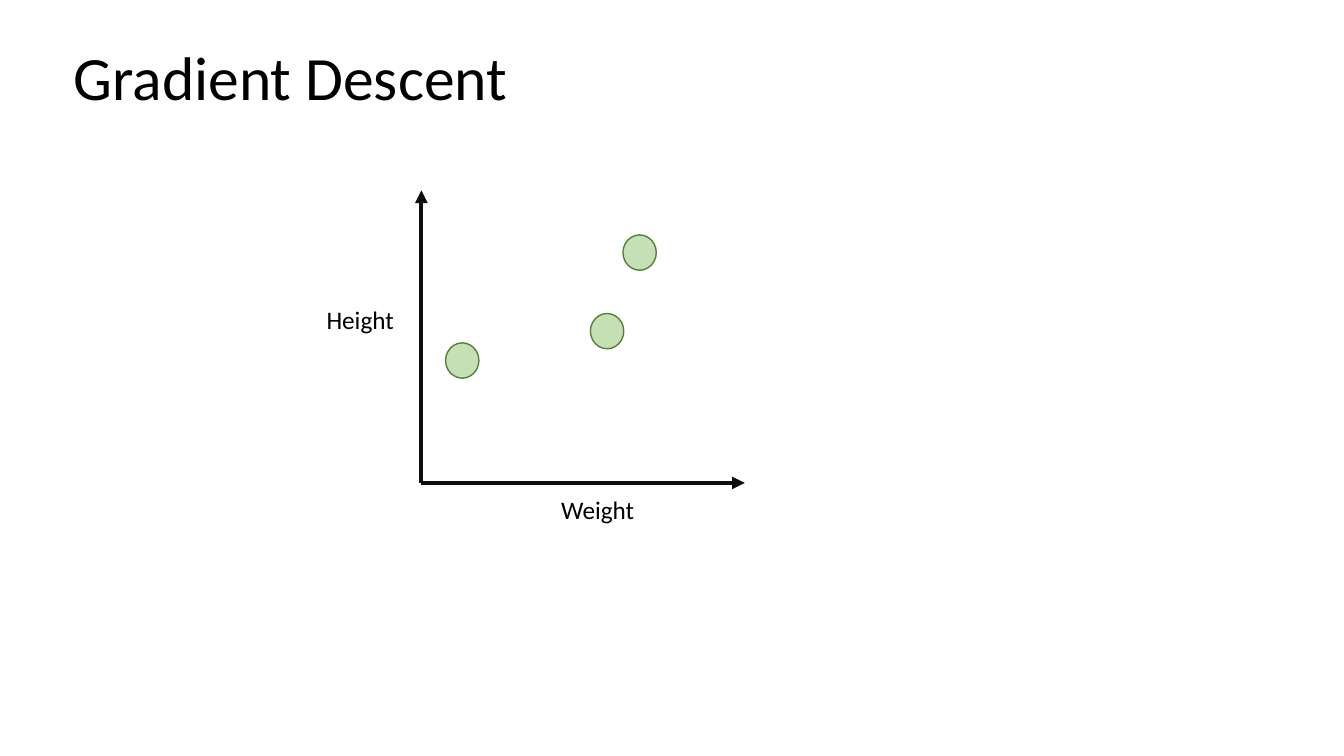
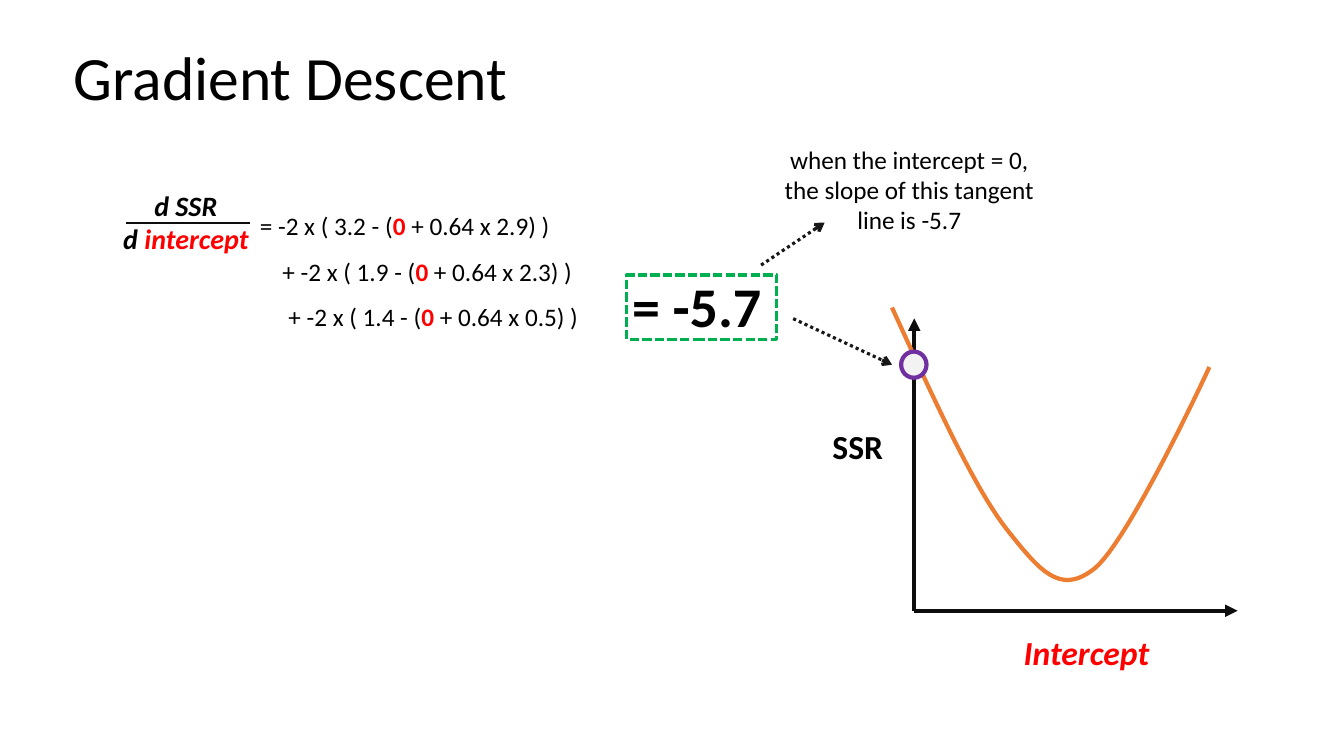
from dataclasses import dataclass

from lxml.etree import SubElement
from pptx import Presentation
from pptx.dml.color import RGBColor
from pptx.enum.dml import MSO_LINE
from pptx.enum.shapes import MSO_CONNECTOR, MSO_SHAPE
from pptx.enum.text import MSO_ANCHOR, MSO_AUTO_SIZE, PP_ALIGN
from pptx.oxml.ns import qn
from pptx.util import Cm, Pt


@dataclass(frozen=True)
class Theme:
    font: str = "Calibri"
    text: str = "000000"
    accent: str = "FF0000"
    axis: str = "0D0D0D"
    pointer: str = "181717"
    dot_fill: str = "C5E0B4"
    dot_line: str = "548235"
    frame: str = "00B050"
    curve: str = "ED7D31"
    marker_fill: str = "F2F2F2"
    marker_line: str = "7030A0"
    title_size: int = 44
    result_size: int = 40
    axis_size: int = 24
    fraction_size: int = 20
    body_size: int = 18
    thin: float = 1
    rule: float = 1.5
    dashed: float = 2.25
    thick: float = 3


THEME = Theme()

# All lengths are in centimetres; boxes are left, top, width, height.
SLIDE_SIZE = (33.87, 19.05)
TITLE = "Gradient Descent"
TITLE_BOX = (1.6, 0.2, 17.32, 3.68)
AXIS_HEIGHT, AXIS_WIDTH = 7.37, 8.15

SCATTER_ORIGIN = (10.62, 12.17)
DOT_SIZE = (0.84, 0.89)
DOTS = [(11.23, 8.64), (14.88, 7.9), (15.7, 5.92)]
SCATTER_LABELS = [
    ("Height", (7.98, 7.54, 2.64, 1.02)),
    ("Weight", (13.89, 12.34, 2.64, 1.02)),
]

COST_ORIGIN = (23.04, 15.39)
COST_LABELS = [
    ("SSR", (20.73, 10.62, 2.64, 1.27), {}),
    ("Intercept", (25.55, 15.8, 3.81, 1.27), {"color": THEME.accent, "italic": True}),
]
CURVE_START = (22.48, 7.75)
CURVE_PIECES = [  # two control points and an end point each
    ((23.5, 9.98), (24.51, 12.22), (25.35, 13.31)),
    ((26.21, 14.4), (26.72, 15.01), (27.58, 14.33)),
    ((28.45, 13.64), (30.48, 9.25), (30.48, 9.25)),
]
CURVE_STEPS = 24
MARKER_BOX = (22.71, 8.86, 0.64, 0.66)

DERIVATIVE = [
    [("d SSR", {})],
    [("d ", {}), ("intercept", {"color": THEME.accent})],
]
DERIVATIVE_BOX = (2.74, 4.62, 3.89, 1.96)
FRACTION_BAR = ((3.18, 5.61), (6.3, 5.61))
TERMS = [  # sign, height, weight, indent
    ("=", "3.2", "2.9", 0),
    ("+", "1.9", "2.3", 0.57),
    ("+", "1.4", "0.5", 0.72),
]
TERMS_BOX = (6.3, 4.8, 16.94, 3.61)
RESULT = "= -5.7"
RESULT_BOX = (15.54, 6.71, 4.04, 1.96)
RESULT_FRAME = (15.8, 6.93, 3.78, 1.63)
NOTE = "when the intercept = 0, the slope of this tangent line is -5.7"
NOTE_BOX = (19.51, 3.51, 6.81, 2.57)
POINTERS = [((19.18, 6.68), (20.78, 5.61)), ((19.99, 8.03), (22.48, 9.19))]


def lengths(values):
    return [Cm(value) for value in values]


def add_span(para, text, size, color=THEME.text, bold=False, italic=False):
    span = para.add_run()
    span.text = text
    font = span.font
    font.name, font.size = THEME.font, Pt(size)
    font.bold, font.italic = bold, italic
    font.color.rgb = RGBColor.from_string(color)


def add_text(page, place, paras, size, align=PP_ALIGN.LEFT, spacing=None,
             indents=(), anchor=MSO_ANCHOR.TOP, **style):
    """Each paragraph is a list of (text, style) spans; style holds the defaults."""
    box = page.shapes.add_textbox(*lengths(place))
    frame = box.text_frame
    frame.word_wrap = True
    frame.auto_size = MSO_AUTO_SIZE.SHAPE_TO_FIT_TEXT
    frame.vertical_anchor = anchor
    for number, spans in enumerate(paras):
        para = frame.add_paragraph() if number else frame.paragraphs[0]
        para.alignment = align
        para.line_spacing = spacing
        if number < len(indents):
            para._p.get_or_add_pPr().set("marL", str(Cm(indents[number])))
        for text, own_style in spans:
            add_span(para, text, size, **{**style, **own_style})


def set_line(line, color, width, dash=None):
    line.color.rgb = RGBColor.from_string(color)
    line.width = Pt(width)
    if dash is not None:
        line.dash_style = dash


def add_line(page, start, end, color, width, head=None, dash=None):
    connector = page.shapes.add_connector(
        MSO_CONNECTOR.STRAIGHT, *lengths(start), *lengths(end))
    set_line(connector.line, color, width, dash)
    properties = connector.element.spPr
    if head:
        SubElement(properties.find(qn("a:ln")), qn("a:tailEnd"), type=head)
    SubElement(properties, qn("a:effectLst"))


def style_shape(shape, color, width, fill=None, dash=None):
    shape.shadow.inherit = False
    if fill:
        shape.fill.solid()
        shape.fill.fore_color.rgb = RGBColor.from_string(fill)
    else:
        shape.fill.background()
    set_line(shape.line, color, width, dash)


def add_outline(page, kind, place, color, width, fill=None, dash=None):
    shape = page.shapes.add_shape(kind, *lengths(place))
    style_shape(shape, color, width, fill, dash)


def add_axes(page, origin):
    left, bottom = origin
    for end in ((left, bottom - AXIS_HEIGHT), (left + AXIS_WIDTH, bottom)):
        add_line(page, origin, end, THEME.axis, THEME.thick, "triangle")


def curve_points():
    """Sample the cubic Bezier pieces of the cost curve."""
    start = CURVE_START
    for first, second, end in CURVE_PIECES:
        for step in range(1, CURVE_STEPS + 1):
            t = step / CURVE_STEPS
            u = 1 - t
            yield tuple(
                Cm(u**3 * a + 3 * u * u * t * b + 3 * u * t * t * c + t**3 * d)
                for a, b, c, d in zip(start, first, second, end))
        start = end


def add_page(deck):
    page = deck.slides.add_slide(deck.slide_layouts.get_by_name("Title Only"))
    title = page.shapes.title
    title.left, title.top, title.width, title.height = lengths(TITLE_BOX)
    frame = title.text_frame
    frame.auto_size = MSO_AUTO_SIZE.NONE
    frame.vertical_anchor = MSO_ANCHOR.MIDDLE
    para = frame.paragraphs[0]
    para.alignment = PP_ALIGN.LEFT
    para.line_spacing = 0.9
    add_span(para, TITLE, THEME.title_size)
    return page


def build_scatter(deck):
    page = add_page(deck)
    add_axes(page, SCATTER_ORIGIN)
    for dot in DOTS:
        add_outline(page, MSO_SHAPE.OVAL, dot + DOT_SIZE,
                    THEME.dot_line, THEME.thin, THEME.dot_fill)
    for text, place in SCATTER_LABELS:
        add_text(page, place, [[(text, {})]], THEME.body_size)


def add_derivative(page):
    add_text(page, DERIVATIVE_BOX, DERIVATIVE, THEME.fraction_size,
             PP_ALIGN.CENTER, bold=True, italic=True)
    add_line(page, *FRACTION_BAR, THEME.axis, THEME.rule)
    terms = [
        [(f"{sign} -2 x ( {height} - (", {}),
         ("0", {"color": THEME.accent, "bold": True}),
         (f" + 0.64 x {weight}) )", {})]
        for sign, height, weight, _ in TERMS
    ]
    add_text(page, TERMS_BOX, terms, THEME.body_size, spacing=1.5,
             indents=[term[-1] for term in TERMS])


def add_cost_chart(page):
    add_axes(page, COST_ORIGIN)
    for text, place, style in COST_LABELS:
        add_text(page, place, [[(text, style)]], THEME.axis_size, bold=True)
    builder = page.shapes.build_freeform(*lengths(CURVE_START))
    builder.add_line_segments(list(curve_points()), close=False)
    style_shape(builder.convert_to_shape(), THEME.curve, THEME.thick)
    add_outline(page, MSO_SHAPE.OVAL, MARKER_BOX,
                THEME.marker_line, THEME.thick, THEME.marker_fill)


def build_tangent(deck):
    page = add_page(deck)
    add_derivative(page)
    add_text(page, RESULT_BOX, [[(RESULT, {})]], THEME.result_size,
             PP_ALIGN.CENTER, anchor=MSO_ANCHOR.MIDDLE, bold=True)
    add_text(page, NOTE_BOX, [[(NOTE, {})]], THEME.body_size, PP_ALIGN.CENTER)
    add_outline(page, MSO_SHAPE.RECTANGLE, RESULT_FRAME,
                THEME.frame, THEME.dashed, dash=MSO_LINE.SQUARE_DOT)
    add_cost_chart(page)
    for start, end in POINTERS:
        add_line(page, start, end, THEME.pointer, THEME.dashed, "arrow",
                 MSO_LINE.ROUND_DOT)


def main():
    deck = Presentation()
    deck.slide_width, deck.slide_height = lengths(SLIDE_SIZE)
    build_scatter(deck)
    build_tangent(deck)
    deck.save("out.pptx")


if __name__ == "__main__":
    main()
